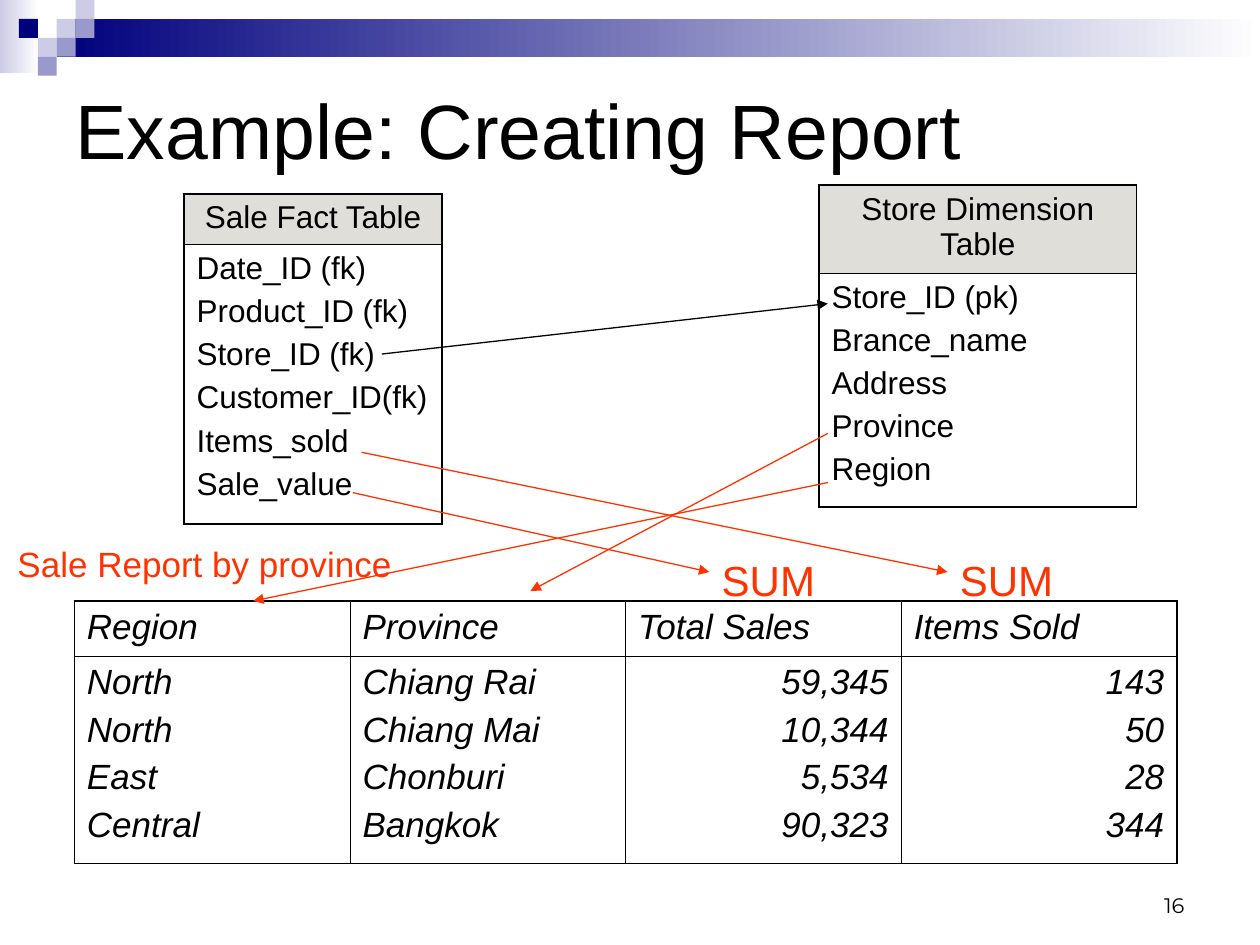
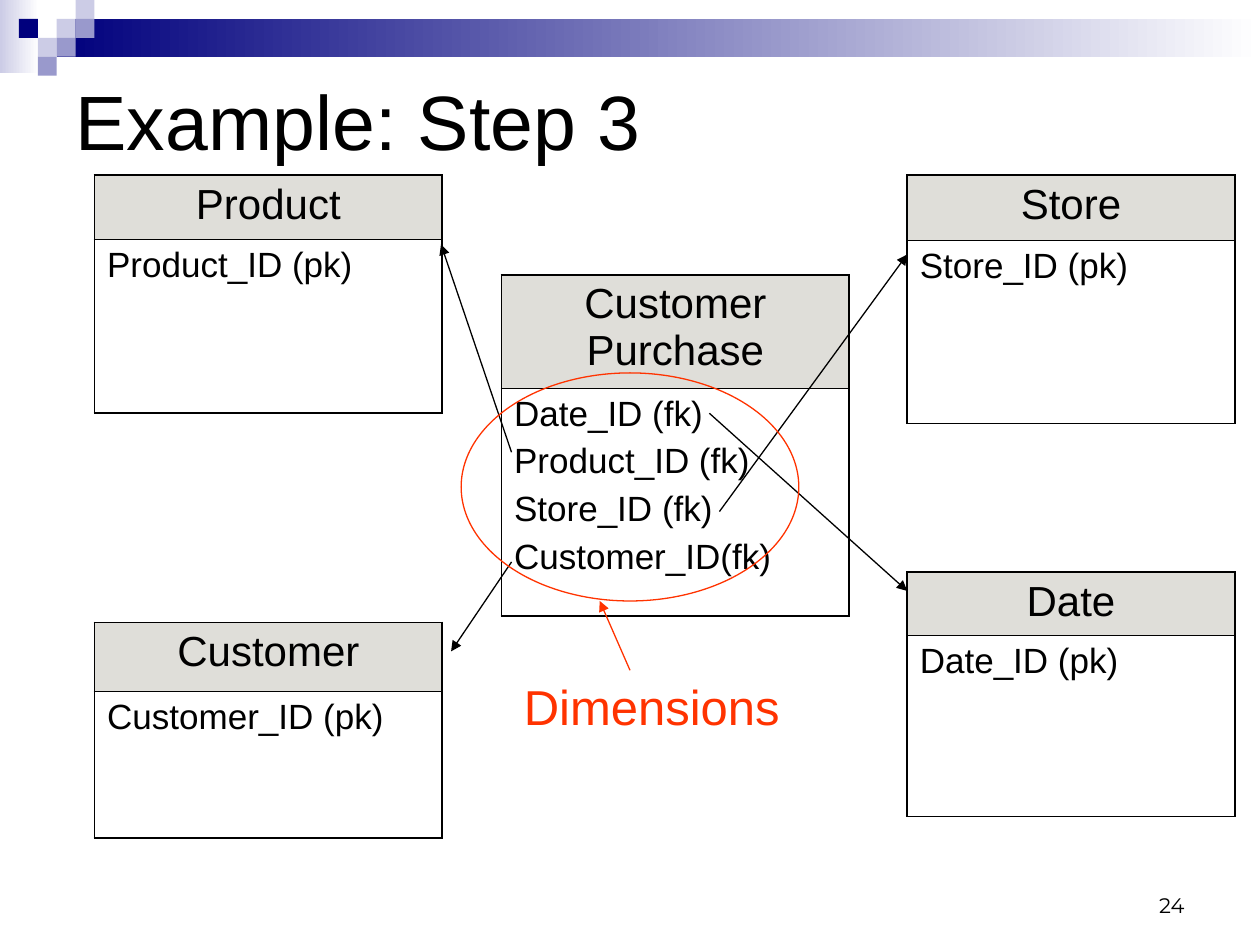
from dataclasses import dataclass

from lxml import etree
from pptx import Presentation
from pptx import util as u
from pptx.dml.color import RGBColor
from pptx.enum import shapes, text
from pptx.oxml import ns

COLUMNS, ROWS = 100, 75  # slide grid of square cells
SLIDE_WIDTH, SLIDE_HEIGHT = u.Inches(10), u.Inches(7.5)
LEFT, CENTER, RIGHT = text.PP_ALIGN.LEFT, text.PP_ALIGN.CENTER, text.PP_ALIGN.RIGHT


@dataclass(frozen=True)
class Theme:
    ink: str = "000000"
    accent: str = "FF3300"
    header: str = "DFDED9"
    navy: str = "00007D"
    violet: str = "9999CC"
    lavender: str = "CCCCE6"
    white: str = "FFFFFF"
    font: str = "Arial"
    number_font: str = "Montserrat"
    title: float = 44
    callout: float = 28
    heading: float = 24
    body: float = 20
    small: float = 18
    number: float = 12
    thin: float = 0.75
    outer_border: float = 1.08
    inner_border: float = 0.45


THEME = Theme()


# Helpers
def across(columns):
    return round(SLIDE_WIDTH * columns / COLUMNS)


def down(rows):
    return round(SLIDE_HEIGHT * rows / ROWS)


def place(left, top, width, height):
    return across(left), down(top), across(width), down(height)


def rgb(color):
    return RGBColor.from_string(color)


def apply(target, **values):
    for name, value in values.items():
        setattr(target, name, value)


def write(frame, lines, size, color=THEME.ink, align=LEFT, italic=False, font=THEME.font):
    frame.text = "\n".join(lines)
    for index, paragraph in enumerate(frame.paragraphs):
        paragraph.alignment = align
        if index:
            paragraph.space_before = u.Pt(size / 4)
        for run in paragraph.runs:
            apply(run.font, name=font, size=u.Pt(size), italic=italic)
            run.font.color.rgb = rgb(color)


# Shared slide parts
def add_block(slide, box, *colors):
    """Borderless rectangle; two colours give a left-to-right gradient."""
    shape = slide.shapes.add_shape(shapes.MSO_SHAPE.RECTANGLE, *place(*box))
    shape.shadow.inherit = False
    shape.line.fill.background()
    if len(colors) == 1:
        shape.fill.solid()
        shape.fill.fore_color.rgb = rgb(colors[0])
    else:
        shape.fill.gradient()
        shape.fill.gradient_angle = 0
        for stop, color in zip(shape.fill.gradient_stops, colors):
            stop.color.rgb = rgb(color)


def add_band(slide):
    tile = 1.5
    add_block(slide, (0, 0, 3.1, 5.8), THEME.lavender, THEME.white)
    add_block(slide, (3 * tile, tile, COLUMNS - 3 * tile, 2 * tile), THEME.navy, THEME.white)
    tiles = {
        THEME.lavender: [(3, 1), (4, 0), (2, 2)],
        THEME.violet: [(4, 1), (3, 2), (2, 3)],
        THEME.navy: [(1, 1)],
    }
    for color, cells in tiles.items():
        for column, row in cells:
            add_block(slide, (column * tile, row * tile, tile, tile), color)


def add_text(slide, box, words, size, color=THEME.ink, align=LEFT, font=THEME.font,
             anchor=text.MSO_ANCHOR.TOP):
    frame = slide.shapes.add_textbox(*place(*box)).text_frame
    apply(frame, word_wrap=True, vertical_anchor=anchor)
    write(frame, [words], size, color, align, font=font)


def add_titled_slide(presentation, title, title_top, title_height, number):
    slide = presentation.slides.add_slide(presentation.slide_layouts[5])
    add_band(slide)
    add_text(slide, (71.7, 68.3, 23.3, 5), number, THEME.number, align=RIGHT,
             font=THEME.number_font, anchor=text.MSO_ANCHOR.BOTTOM)
    left, top, width, height = place(5, title_top, 90, title_height)
    apply(slide.shapes.title, left=left, top=top, width=width, height=height)
    frame = slide.shapes.title.text_frame
    apply(frame, vertical_anchor=text.MSO_ANCHOR.MIDDLE, auto_size=text.MSO_AUTO_SIZE.NONE)
    write(frame, [title], THEME.title)
    return slide


# Tables
def add_borders(cell, outer_sides):
    properties = cell._tc.get_or_add_tcPr()
    for side in "LRTB":
        width = THEME.outer_border if side in outer_sides else THEME.inner_border
        line = etree.SubElement(properties, ns.qn(f"a:ln{side}"), w=str(u.Pt(width)))
        fill = etree.SubElement(line, ns.qn("a:solidFill"))
        etree.SubElement(fill, ns.qn("a:srgbClr"), val=THEME.ink)


def add_two_row_table(slide, left, top, width, heights, columns, head_size, body_size,
                      head_fill=None, italic=False):
    """Each column is (heading, heading alignment, body lines, body alignment)."""
    table = slide.shapes.add_table(
        2, len(columns), *place(left, top, width, sum(heights))).table
    apply(table, first_row=False, horz_banding=False)
    for row, height in zip(table.rows, heights):
        row.height = down(height)
    for index, (heading, head_align, lines, body_align) in enumerate(columns):
        table.columns[index].width = across(width / len(columns))
        sides = "L" * (index == 0) + "R" * (index == len(columns) - 1)
        head, body = table.cell(0, index), table.cell(1, index)
        write(head.text_frame, [heading], head_size, align=head_align, italic=italic)
        write(body.text_frame, lines, body_size, align=body_align, italic=italic)
        add_borders(head, sides + "T")
        add_borders(body, sides + "B")
        body.fill.background()
        if head_fill:
            head.fill.solid()
            head.fill.fore_color.rgb = rgb(head_fill)
        else:
            head.fill.background()


def add_entity(slide, left, top, width, heights, name, fields,
               head_size=THEME.heading, body_size=THEME.body):
    add_two_row_table(slide, left, top, width, heights, [(name, CENTER, fields, LEFT)],
                      head_size, body_size, THEME.header)


# Marks
def add_arrow(slide, start, end, color=THEME.ink):
    connector = slide.shapes.add_connector(
        shapes.MSO_CONNECTOR.STRAIGHT, *place(*start, *end))
    connector.line.color.rgb = rgb(color)
    connector.line.width = u.Pt(THEME.thin)
    etree.SubElement(connector.line._get_or_add_ln(), ns.qn("a:tailEnd"), type="triangle")
    etree.SubElement(connector._element.spPr, ns.qn("a:effectLst"))


def add_ring(slide, box):
    ring = slide.shapes.add_shape(shapes.MSO_SHAPE.OVAL, *place(*box))
    ring.shadow.inherit = False
    ring.fill.background()
    ring.line.color.rgb = rgb(THEME.accent)
    ring.line.width = u.Pt(THEME.thin)


# Slides
def build_report_slide(presentation):
    slide = add_titled_slide(presentation, "Example: Creating Report", 5, 10.5, "16")
    report = [
        ("Region", LEFT, ["North", "North", "East", "Central"], LEFT),
        ("Province", LEFT, ["Chiang Rai", "Chiang Mai", "Chonburi", "Bangkok"], LEFT),
        ("Total Sales", LEFT, ["59,345", "10,344", "5,534", "90,323"], RIGHT),
        ("Items Sold", LEFT, ["143", "50", "28", "344"], RIGHT),
    ]
    add_two_row_table(slide, 5.9, 47.7, 87.5, (4.4, 16.4), report,
                      THEME.body, THEME.body, italic=True)
    add_entity(slide, 14.6, 15.4, 20.5, (4, 22.2), "Sale Fact Table",
               ["Date_ID (fk)", "Product_ID (fk)", "Store_ID (fk)", "Customer_ID(fk)",
                "Items_sold", "Sale_value"], THEME.small, THEME.small)
    add_entity(slide, 65, 14.7, 25.2, (7, 18.5), "Store Dimension Table",
               ["Store_ID (pk)", "Brance_name", "Address", "Province", "Region"],
               THEME.small, THEME.small)

    # Key link, then fields feeding the report
    add_arrow(slide, (30.3, 28.1), (65.7, 24.1))
    for start, end in [
        ((28, 39.1), (56.3, 45.4)),
        ((28.7, 35.9), (75.2, 45.4)),
        ((65.7, 38.3), (20.1, 47.7)),
        ((65.7, 34.4), (42.1, 46.9)),
    ]:
        add_arrow(slide, start, end, THEME.accent)
    for left in (56.3, 75.2):
        add_text(slide, (left, 43.5, 10, 5), "SUM", THEME.heading, THEME.accent)
    add_text(slide, (0.4, 42.6, 40.9, 4.4), "Sale Report by province",
             THEME.body, THEME.accent)


def build_dimensions_slide(presentation):
    slide = add_titled_slide(presentation, "Example: Step 3", 4.4, 10.2, "24")
    add_entity(slide, 39.8, 21.8, 27.6, (9, 18.1), "Customer Purchase",
               ["Date_ID (fk)", "Product_ID (fk)", "Store_ID (fk)", "Customer_ID(fk)"])
    for name, left, top, width, heights in [
        ("Product", 7.5, 13.9, 27.6, (5.1, 13.8)),
        ("Customer", 7.5, 49.4, 27.6, (5.5, 11.6)),
        ("Store", 72, 13.9, 26, (5.2, 14.5)),
        ("Date", 72, 45.4, 26, (5, 14.4)),
    ]:
        add_entity(slide, left, top, width, heights, name, [f"{name}_ID (pk)"])

    # Foreign keys to their dimension tables
    for start, end in [
        ((56.3, 32.8), (72, 46.9)),
        ((40.6, 35.9), (35, 19.4)),
        ((40.6, 44.6), (35.8, 51.7)),
        ((57.1, 40.6), (72, 20.2)),
    ]:
        add_arrow(slide, start, end)

    # Callout
    add_ring(slide, (36.6, 29.6, 26.8, 18.1))
    add_arrow(slide, (50, 53.2), (47.6, 47.7), THEME.accent)
    add_text(slide, (40.6, 53.2, 24.4, 5.7), "Dimensions", THEME.callout, THEME.accent)


def main():
    presentation = Presentation()
    apply(presentation, slide_width=SLIDE_WIDTH, slide_height=SLIDE_HEIGHT)
    build_report_slide(presentation)
    build_dimensions_slide(presentation)
    presentation.save("out.pptx")


if __name__ == "__main__":
    main()
